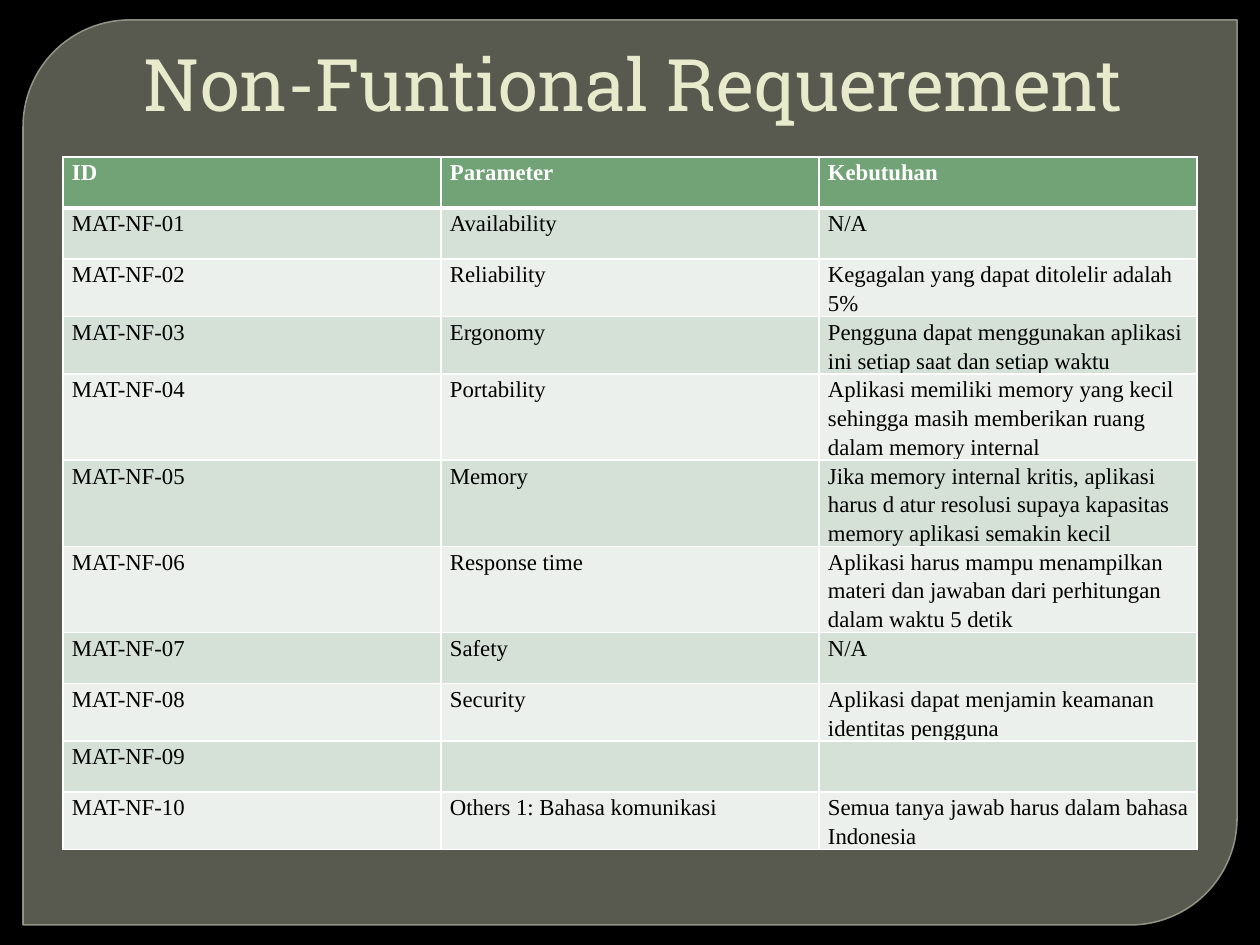
from dataclasses import dataclass

from lxml import etree
from pptx import Presentation
from pptx import util as u
from pptx.dml.color import RGBColor
from pptx.enum import shapes, text
from pptx.oxml import ns

PX = u.Inches(1) / 126


@dataclass(frozen=True)
class Theme:
    """Colours, fonts and type sizes of the slide."""
    back: str = "000000"
    panel: str = "888B7B"
    edge: str = "9DA090"
    title: str = "E7EACB"
    header: str = "72A376"
    bands: tuple = ("D5E0D6", "EBF0EC")
    white: str = "FFFFFF"
    ink: str = "000000"
    title_font: str = "Roboto Slab"
    body_font: str = "Times New Roman"
    title_size: float = 41.4
    body_size: int = 13


THEME = Theme()

ROWS = [
    ("ID", "Parameter", "Kebutuhan"),
    ("MAT-NF-01", "Availability", "N/A"),
    ("MAT-NF-02", "Reliability", "Kegagalan yang dapat ditolelir adalah 5%"),
    ("MAT-NF-03", "Ergonomy",
     "Pengguna dapat menggunakan aplikasi ini setiap saat dan setiap waktu"),
    ("MAT-NF-04", "Portability",
     "Aplikasi memiliki memory yang kecil sehingga masih memberikan ruang dalam memory internal"),
    ("MAT-NF-05", "Memory",
     "Jika memory internal kritis, aplikasi harus d atur resolusi supaya kapasitas "
     "memory aplikasi semakin kecil"),
    ("MAT-NF-06", "Response time",
     "Aplikasi harus mampu menampilkan materi dan jawaban dari perhitungan dalam waktu 5 detik"),
    ("MAT-NF-07", "Safety", "N/A"),
    ("MAT-NF-08", "Security", "Aplikasi dapat menjamin keamanan identitas pengguna"),
    ("MAT-NF-09", "", ""),
    ("MAT-NF-10", "Others 1: Bahasa komunikasi",
     "Semua tanya jawab harus dalam bahasa Indonesia"),
]


def px(n):
    """Turn pixels into EMU."""
    return u.Emu(round(n * PX))


def paint(fill, color, alpha=None):
    """Give a fill one solid colour, with an optional opacity in percent."""
    fill.solid()
    fill.fore_color.rgb = RGBColor.from_string(color)
    if alpha is not None:
        clr = fill._xPr.find(".//" + ns.qn("a:srgbClr"))
        etree.SubElement(clr, ns.qn("a:alpha")).set("val", str(alpha * 1000))


def write(tf, value, *, font, size, color, bold=False, align=None, spacing=None):
    """Write one formatted paragraph into a text frame."""
    p = tf.paragraphs[0]
    p.alignment = align
    p.line_spacing = spacing
    r = p.add_run()
    r.text = value
    r.font.name, r.font.size, r.font.bold = font, u.Pt(size), bold
    r.font.color.rgb = RGBColor.from_string(color)
    return p


def border(cell, side, width):
    """Draw one white cell border: side is L, R, T or B."""
    ln = etree.SubElement(cell._tc.get_or_add_tcPr(), ns.qn(f"a:ln{side}"))
    ln.set("w", str(u.Pt(width)))
    fill = etree.SubElement(ln, ns.qn("a:solidFill"))
    etree.SubElement(fill, ns.qn("a:srgbClr")).set("val", THEME.white)


def add_panel(s, x, y, w, h):
    """Place the translucent panel behind everything else."""
    sp = s.shapes.add_shape(shapes.MSO_SHAPE.ROUND_2_DIAG_RECTANGLE,
                            px(x), px(y), px(w), px(h))
    sp.adjustments[0], sp.adjustments[1] = 0.118, 0
    sp.shadow.inherit = False
    paint(sp.fill, THEME.panel, 65)
    paint(sp.line.fill, THEME.edge, 88)
    sp.line.width = u.Pt(0.87)
    s.shapes._spTree.insert(2, sp._element)


def add_title(s, value, x, y, w, h):
    """Move and format the title placeholder."""
    sp = s.shapes.title
    sp.left, sp.top, sp.width, sp.height = px(x), px(y), px(w), px(h)
    tf = sp.text_frame
    tf.auto_size = text.MSO_AUTO_SIZE.NONE
    tf.word_wrap = True
    tf.vertical_anchor = text.MSO_ANCHOR.BOTTOM
    tf.margin_left = tf.margin_right = tf.margin_top = tf.margin_bottom = 0
    p = write(tf, value, font=THEME.title_font, size=THEME.title_size,
              color=THEME.title, align=text.PP_ALIGN.CENTER)
    p._p.get_or_add_pPr().set("marL", str(px(7)))


def add_requirements(s, rows, x, y, w, row_h):
    """Build the banded requirements table; rows grow with their text."""
    table = s.shapes.add_table(len(rows), len(rows[0]), px(x), px(y),
                               px(w), px(row_h * len(rows))).table
    for i, row in enumerate(rows):
        table.rows[i].height = px(row_h)
        head = i == 0
        for j, value in enumerate(row):
            cell = table.cell(i, j)
            cell.margin_left = cell.margin_right = px(9)
            cell.margin_top = cell.margin_bottom = 0
            for side in "LRTB":
                under_head = (i, side) in ((0, "B"), (1, "T"))
                border(cell, side, 3 if under_head else 1)
            paint(cell.fill, THEME.header if head else THEME.bands[(i - 1) % 2])
            if value:
                write(cell.text_frame, value, font=THEME.body_font,
                      size=THEME.body_size, bold=head, spacing=1.15,
                      color=THEME.white if head else THEME.ink)


def main():
    """Build and save the slide."""
    prs = Presentation()
    prs.slide_width, prs.slide_height = px(1260), px(945)
    s = prs.slides.add_slide(prs.slide_layouts[5])
    paint(s.background.fill, THEME.back)
    add_panel(s, 23, 20, 1214, 905)
    add_title(s, "Non-Funtional Requerement", 63, 35, 1134, 91)
    add_requirements(s, ROWS, 63, 157, 1134, 51)
    prs.save("out.pptx")


if __name__ == "__main__":
    main()
